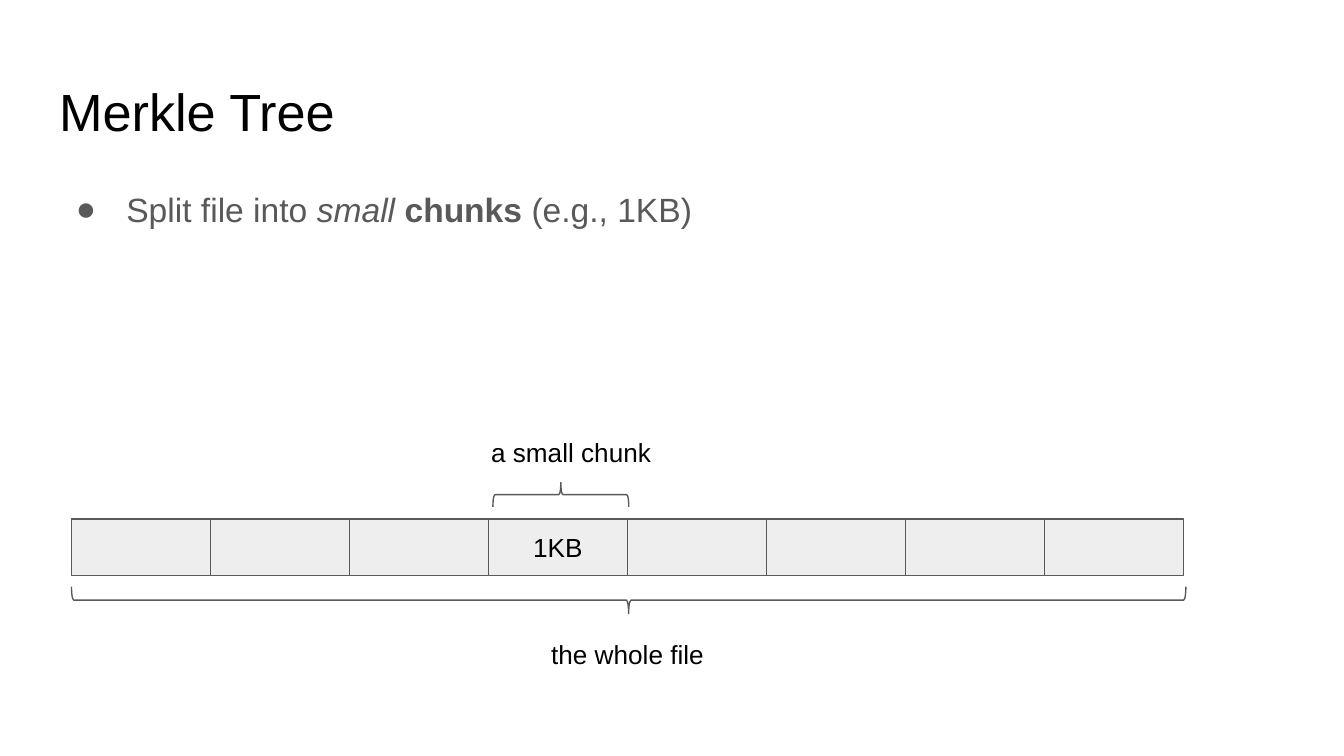
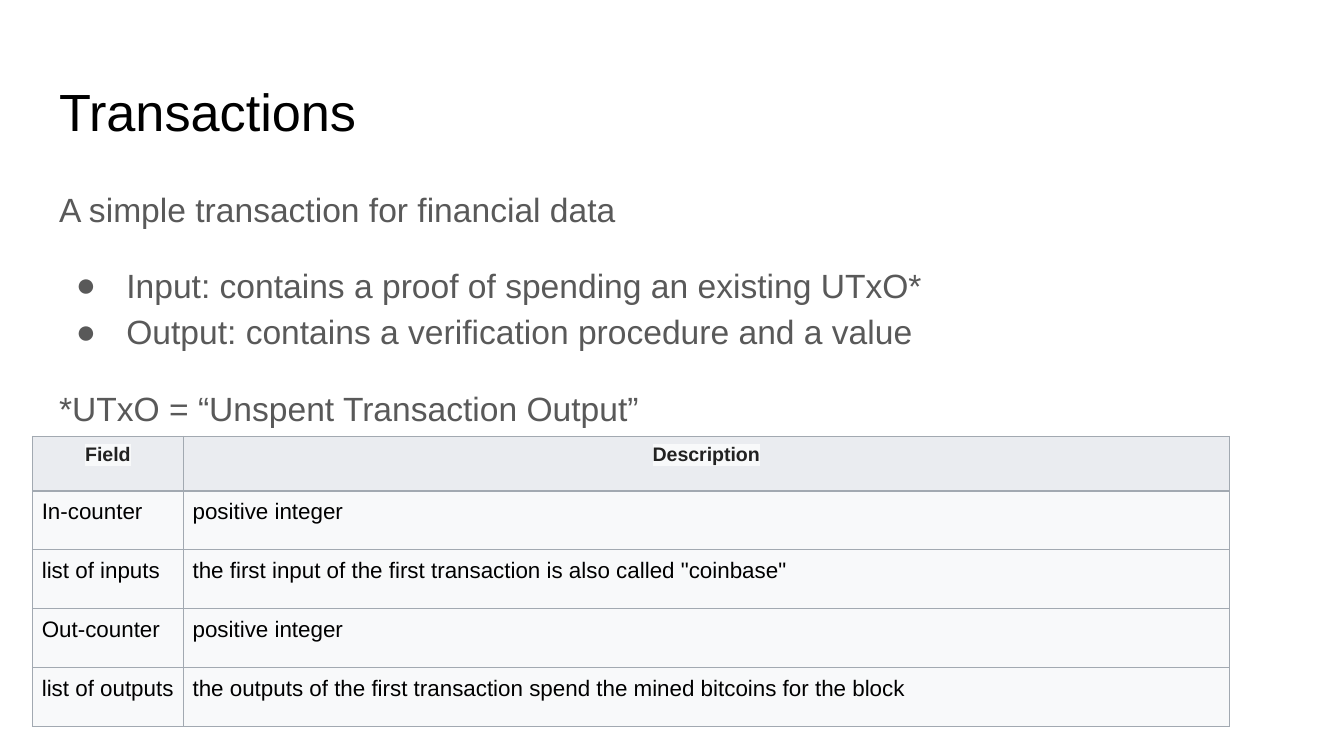
from lxml.etree import SubElement as Sub
from pptx import Presentation
from pptx.dml.color import RGBColor as RGB
from pptx.enum.shapes import MSO_SHAPE as SHAPE
from pptx.enum.text import MSO_ANCHOR as ANCHOR, MSO_AUTO_SIZE as AUTO, PP_ALIGN as ALIGN
from pptx.oxml.ns import qn
from pptx.util import Pt

# Content
CHUNKS = ["", "", "", "1KB", "", "", "", ""]
SPLIT = [{"runs": [("Split file into ", ""), ("small ", "i"), ("chunks", "b"),
                   (" (e.g., 1KB)", "")], "dot": True}]
MONEY = [
    {"runs": [("A simple transaction for financial data", "")]},
    {"runs": [("Input: contains a proof of spending an existing UTxO*", "")],
     "dot": True, "before": 16},
    {"runs": [("Output: contains a verification procedure and a value", "")], "dot": True},
    {"runs": [("*UTxO = “Unspent Transaction Output”", "")], "before": 16, "after": 16},
]
FIELDS = [
    ("Field", "Description"),
    ("In-counter", "positive integer"),
    ("list of inputs", 'the first input of the first transaction is also called "coinbase"'),
    ("Out-counter", "positive integer"),
    ("list of outputs",
     "the outputs of the first transaction spend the mined bitcoins for the block"),
]


class Theme:
    font = "Arial"
    black, grey, box = "000000", "595959", "EEEEEE"
    ink, head, cell, edge = "222222", "EAECF0", "F8F9FA", "A2A9B1"
    title, body, label, row, top = 28, 18, 14, 12, 10.5
    line = 0.75


# Helpers
def rgb(code):
    return RGB.from_string(code)


def place(shape, left, top, width, height):
    shape.left, shape.top = Pt(left), Pt(top)
    shape.width, shape.height = Pt(width), Pt(height)


def pad(frame, inset=7.2, anchor=ANCHOR.TOP):
    frame.word_wrap, frame.auto_size = True, AUTO.NONE
    frame.vertical_anchor = anchor
    frame.margin_left = frame.margin_right = Pt(inset)
    frame.margin_top = frame.margin_bottom = Pt(inset)


def write(para, runs, size=Theme.label, color=Theme.black, align=ALIGN.LEFT,
          lead=1.0, before=0, after=0, dot=False, mark=None):
    if isinstance(runs, str):
        runs = [(runs, "")]
    para.alignment, para.line_spacing = align, lead
    para.space_before, para.space_after = Pt(before), Pt(after)
    props = para._p.get_or_add_pPr()
    props.set("marL", str(Pt(36 if dot else 0)))
    props.set("indent", str(Pt(-27 if dot else 0)))
    if dot:
        Sub(Sub(props, qn("a:buClr")), qn("a:srgbClr"), val=color)
        Sub(props, qn("a:buFont"), typeface=Theme.font)
        Sub(props, qn("a:buChar"), char="●")
    else:
        Sub(props, qn("a:buNone"))
    for words, style in runs:
        run = para.add_run()
        run.text = words
        font = run.font
        font.name, font.size = Theme.font, Pt(size)
        font.bold, font.italic = "b" in style, "i" in style
        font.color.rgb = rgb(color)
        if mark:
            glow = Sub(run._r.rPr, qn("a:highlight"))
            Sub(glow, qn("a:srgbClr"), val=mark)
            run._r.rPr.find(qn("a:solidFill")).addnext(glow)


def page(deck, title, items, tall):
    slide = deck.slides.add_slide(deck.slide_layouts[1])
    head, body = slide.placeholders
    place(head, 24.5, 35, 671, 45.1)
    place(body, 24.5, 90.7, 671, tall)
    for part in (head, body):
        pad(part.text_frame)
    write(head.text_frame.paragraphs[0], title, size=Theme.title)
    for n, item in enumerate(items):
        frame = body.text_frame
        para = frame.add_paragraph() if n else frame.paragraphs[0]
        write(para, size=Theme.body, color=Theme.grey, lead=1.15, **item)
    return slide


def draw(shapes, kind, left, top, width, height, fill=None):
    shape = shapes.add_shape(kind, Pt(left), Pt(top), Pt(width), Pt(height))
    shape.shadow.inherit = False
    shape.line.color.rgb, shape.line.width = rgb(Theme.grey), Pt(Theme.line)
    if fill:
        shape.fill.solid()
        shape.fill.fore_color.rgb = rgb(fill)
    else:
        shape.fill.background()
    return shape


def brace(slide, mid, level, span, depth, turn):
    """Lay a brace on its side, centred on (mid, level)."""
    shape = draw(slide.shapes, SHAPE.LEFT_BRACE, mid - depth / 2, level - span / 2, depth, span)
    shape.adjustments[0], shape.adjustments[1] = 0.083, 0.5
    shape.rotation = turn


def label(slide, words, mid, top, width=489, height=57):
    box = slide.shapes.add_textbox(Pt(mid - width / 2), Pt(top), Pt(width), Pt(height))
    pad(box.text_frame)
    write(box.text_frame.paragraphs[0], words, align=ALIGN.CENTER)


def paint(cell, fill):
    props = cell._tc.get_or_add_tcPr()
    for side in ("lnL", "lnR", "lnT", "lnB"):
        line = Sub(props, qn("a:" + side), w=str(Pt(Theme.line)))
        Sub(Sub(line, qn("a:solidFill")), qn("a:srgbClr"), val=Theme.edge)
    cell.fill.solid()
    cell.fill.fore_color.rgb = rgb(fill)


# Slides
def merkle(deck):
    slide = page(deck, "Merkle Tree", SPLIT, 269)
    left, top, step, tall = 38.2, 278, 74.5, 30.5
    group = slide.shapes.add_group_shape()
    for n, words in enumerate(CHUNKS):
        box = draw(group.shapes, SHAPE.RECTANGLE, left + n * step, top, step, tall, Theme.box)
        if words:
            pad(box.text_frame, anchor=ANCHOR.MIDDLE)
            write(box.text_frame.paragraphs[0], words, align=ALIGN.CENTER)
    span = step * len(CHUNKS)
    mid = left + span / 2
    brace(slide, mid + 0.6, 321.5, span + 1, 14.4, 270)
    label(slide, "the whole file", mid, 334.8)
    spot = left + step * (CHUNKS.index("1KB") + 0.5)
    brace(slide, spot + 1.5, 265, 72.8, 13, 90)
    label(slide, "a small chunk", spot + 7, 226.8)


def trade(deck):
    slide = page(deck, "Transactions", MONEY, 150)
    cols, rows = (80.8, 560.4), (29.2, 31.6, 31.6, 31.6, 31.6)
    table = slide.shapes.add_table(len(rows), len(cols), Pt(17.4), Pt(233.8),
                                   Pt(sum(cols)), Pt(sum(rows))).table
    table.first_row = table.horz_banding = False
    for col, wide in zip(table.columns, cols):
        col.width = Pt(wide)
    for r, (row, tall) in enumerate(zip(FIELDS, rows)):
        table.rows[r].height = Pt(tall)
        look = {"size": Theme.row} if r else {
            "size": Theme.top, "color": Theme.ink, "align": ALIGN.CENTER}
        for c, words in enumerate(row):
            cell = table.cell(r, c)
            cell.margin_left = cell.margin_right = Pt(5)
            cell.margin_top = cell.margin_bottom = Pt(2.3)
            paint(cell, Theme.cell if r else Theme.head)
            write(cell.text_frame.paragraphs[0], [(words, "" if r else "b")],
                  lead=1.15, after=12, mark=Theme.cell, **look)


def main():
    deck = Presentation()
    deck.slide_width, deck.slide_height = Pt(720), Pt(405)
    merkle(deck)
    trade(deck)
    deck.save("out.pptx")


if __name__ == "__main__":
    main()
